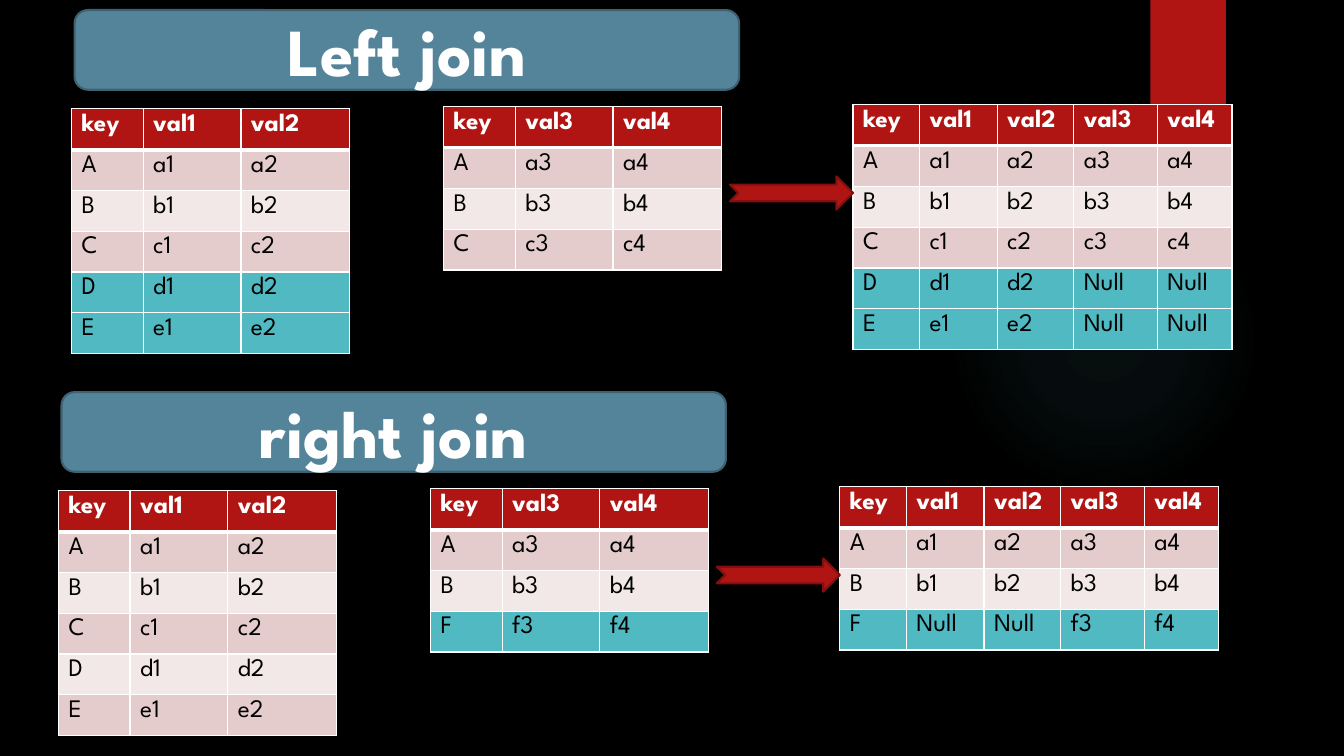
from lxml import etree
from pptx import Presentation
from pptx.dml.color import RGBColor
from pptx.enum.shapes import MSO_SHAPE
from pptx.enum.text import MSO_ANCHOR, PP_ALIGN
from pptx.oxml import parse_xml
from pptx.oxml.ns import qn
from pptx.util import Inches, Pt

BLACK = RGBColor(0x00, 0x00, 0x00)
WHITE = RGBColor(0xFF, 0xFF, 0xFF)
RED = RGBColor(0xB0, 0x15, 0x13)
MAROON = RGBColor(0x82, 0x10, 0x0E)
STEEL = RGBColor(0x54, 0x84, 0x9A)
SLATE = RGBColor(0x3E, 0x62, 0x72)
TEAL = RGBColor(0x50, 0xB9, 0xC1)
ROSE = RGBColor(0xE4, 0xCC, 0xCC)
PALE = RGBColor(0xF2, 0xE8, 0xE7)

ROW = 2.43 / 6
SMALL = (0.71, 0.97, 1.08)
WIDE = (0.66, 0.77, 0.76, 0.83, 0.74)
MAIN = "http://schemas.openxmlformats.org/drawingml/2006/main"


class Deck:
    """Holds the style and the current slide."""

    font = "League Spartan"

    def __init__(self):
        self.prs = Presentation()
        self.prs.slide_width = Inches(13.33)
        self.prs.slide_height = Inches(7.5)
        self.slide = self.prs.slides.add_slide(self.prs.slide_layouts[6])
        back = self.slide.background.fill
        back.solid()
        back.fore_color.rgb = BLACK

    def text(self, para, words, size, color, bold):
        run = para.add_run()
        run.text = words
        run.font.name = self.font
        run.font.size = Pt(size)
        run.font.bold = bold
        run.font.color.rgb = color

    def shape(self, kind, box, fill, edge=None):
        item = self.slide.shapes.add_shape(kind, *map(Inches, box))
        item.shadow.inherit = False
        item.fill.solid()
        item.fill.fore_color.rgb = fill
        if edge is None:
            item.line.fill.background()
        else:
            item.line.color.rgb = edge
            item.line.width = Pt(1.5)
        return item

    def glow(self, box):
        item = self.shape(MSO_SHAPE.OVAL, box, TEAL)
        stops = "".join(
            f'<a:gs pos="{pos}000"><a:srgbClr val="{TEAL}">'
            f'<a:alpha val="{alpha}000"/></a:srgbClr></a:gs>'
            for pos, alpha in ((0, 7), (36, 6), (69, 0)))
        grad = parse_xml(
            f'<a:gradFill xmlns:a="{MAIN}"><a:gsLst>{stops}</a:gsLst>'
            '<a:path path="circle"><a:fillToRect l="50000" t="50000" '
            'r="50000" b="50000"/></a:path></a:gradFill>')
        props = item.element.spPr
        props.replace(props.find(qn("a:solidFill")), grad)

    def ribbon(self, box):
        item = self.shape(MSO_SHAPE.RECTANGLE, box, RED)
        item.element.spPr.find(qn("a:effectLst")).append(parse_xml(
            f'<a:outerShdw xmlns:a="{MAIN}" blurRad="{Pt(3)}" '
            f'dist="{Pt(2)}" dir="5400000"><a:srgbClr val="{BLACK}">'
            '<a:alpha val="45000"/></a:srgbClr></a:outerShdw>'))

    def banner(self, box, words):
        item = self.shape(MSO_SHAPE.ROUNDED_RECTANGLE, box, STEEL, SLATE)
        frame = item.text_frame
        frame.word_wrap = True
        frame.vertical_anchor = MSO_ANCHOR.MIDDLE
        para = frame.paragraphs[0]
        para.alignment = PP_ALIGN.CENTER
        self.text(para, words, 48, WHITE, True)

    def arrow(self, box):
        self.shape(MSO_SHAPE.NOTCHED_RIGHT_ARROW, box, RED, MAROON)

    def border(self, cell, row):
        props = cell._tc.get_or_add_tcPr()
        thick = {"T": row == 1, "B": row == 0}
        for side in "LRTB":
            width = Pt(3 if thick.get(side) else 1)
            line = etree.SubElement(props, qn(f"a:ln{side}"), w=str(width))
            fill = etree.SubElement(line, qn("a:solidFill"))
            etree.SubElement(fill, qn("a:srgbClr"), val=str(WHITE))

    def table(self, left, top, cols, rows, marked):
        frame = self.slide.shapes.add_table(
            len(rows), len(cols), Inches(left), Inches(top),
            Inches(sum(cols)), Inches(ROW * len(rows)))
        grid = frame.table
        for col, width in zip(grid.columns, cols):
            col.width = Inches(width)
        for r, row in enumerate(rows):
            grid.rows[r].height = Inches(ROW)
            if r == 0:
                tint = RED
            elif row[0] in marked:
                tint = TEAL
            else:
                tint = ROSE if r % 2 else PALE
            for c, words in enumerate(row):
                cell = grid.cell(r, c)
                self.border(cell, r)
                cell.fill.solid()
                cell.fill.fore_color.rgb = tint
                self.text(cell.text_frame.paragraphs[0], words, 18,
                          BLACK if r else WHITE, r == 0)


def build(keys, sources):
    """Rows for the keys; sources pairs each column digit with its keys."""
    rows = [["key"] + [f"val{n}" for n, _ in sources]]
    for key in keys:
        rows.append([key] + [f"{key.lower()}{n}" if key in known else "Null"
                             for n, known in sources])
    return rows


deck = Deck()

# Backdrop
deck.glow((9.41, 1.83, 3.08, 3.08))
deck.ribbon((11.41, 0, 0.75, 1.25))

# Joins: title, left keys, right keys, kept keys, shift across and down
joins = (
    ("Left join", "ABCDE", "ABC", "ABCDE", 0, 0),
    ("right join", "ABCDE", "ABF", "ABF", -0.13, 3.79),
)
for title, left, right, kept, dx, dy in joins:
    first = [(n, left) for n in (1, 2)]
    second = [(n, right) for n in (3, 4)]
    lone = set(kept) - (set(left) & set(right))

    # Input tables and result
    deck.table(0.71 + dx, 1.08 + dy, SMALL, build(left, first), lone)
    deck.table(4.4 + dx, 1.06 + dy, SMALL, build(right, second), lone)
    deck.table(8.46 + dx, 1.04 + dy, WIDE, build(kept, first + second), lone)

    # Arrow and heading
    deck.arrow((7.24 + dx, 1.75 + dy, 1.22, 0.33))
    deck.banner((0.74 + dx, 0.1 + dy, 6.59, 0.79), title)

deck.prs.save("out.pptx")
